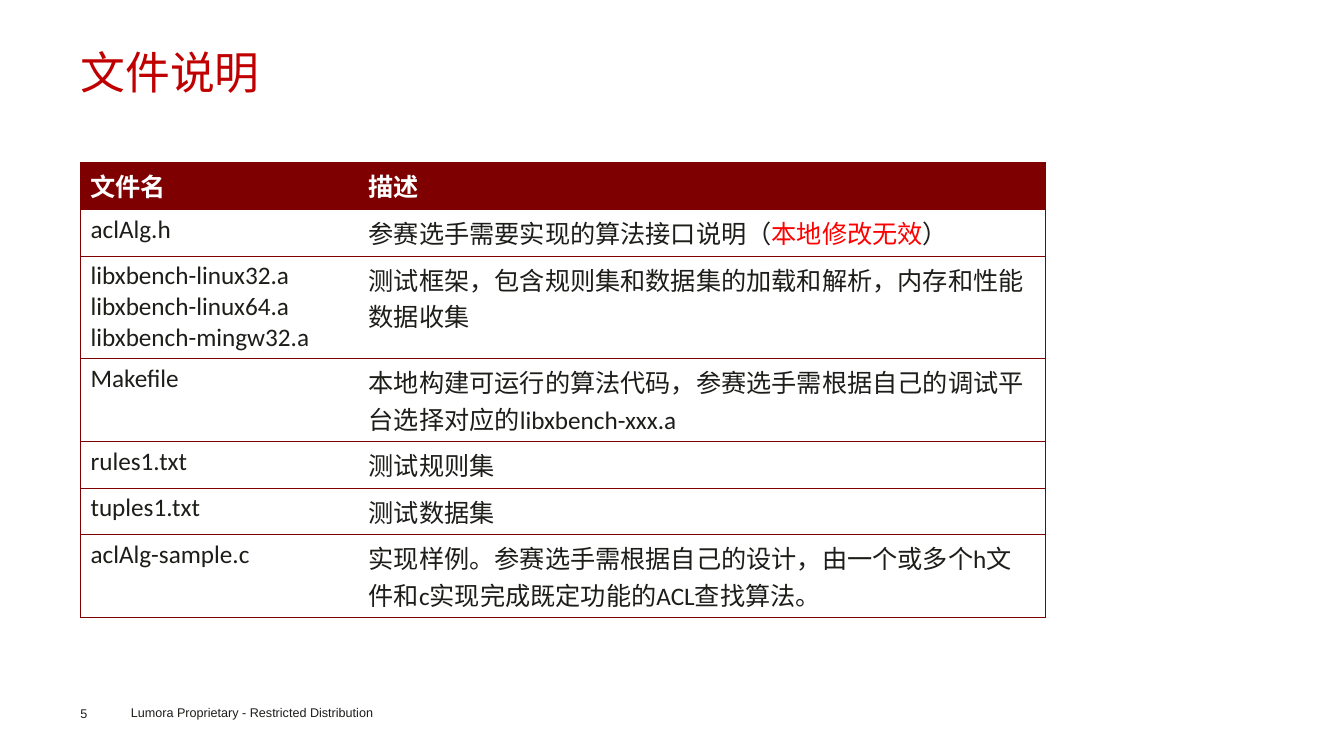
import lxml.etree
import pptx
import pptx.dml.color
import pptx.enum.text
import pptx.oxml.ns
import pptx.util
from pptx.util import Cm, Pt

RGBColor = pptx.dml.color.RGBColor
DARK_RED = RGBColor(0x7F, 0x00, 0x00)
TITLE_RED = RGBColor(0xC0, 0x00, 0x00)
WARNING_RED = RGBColor(0xFF, 0x00, 0x00)
WHITE = RGBColor(0xFF, 0xFF, 0xFF)
INK = RGBColor(0x1D, 0x1D, 0x1A)
CHINESE_FONT = "Noto Sans CJK SC"

COLUMN_WIDTHS = (7.01, 17.3)
ROW_HEIGHT = 1.04
HEADER = ("文件名", "描述")
# Each cell is a list of paragraphs; each paragraph is a list of (text, colour) runs.
FILES = [
    (["aclAlg.h"], [("参赛选手需要实现的算法接口说明（", INK),
                    ("本地修改无效", WARNING_RED), ("）", INK)]),
    (["libxbench-linux32.a", "libxbench-linux64.a", "libxbench-mingw32.a"],
     [("测试框架，包含规则集和数据集的加载和解析，内存和性能数据收集", INK)]),
    (["Makefile"],
     [("本地构建可运行的算法代码，参赛选手需根据自己的调试平台选择对应的libxbench-xxx.a", INK)]),
    (["rules1.txt"], [("测试规则集", INK)]),
    (["tuples1.txt"], [("测试数据集", INK)]),
    (["aclAlg-sample.c"],
     [("实现样例。参赛选手需根据自己的设计，由一个或多个h文件和c实现完成既定功能的ACL查找算法。", INK)]),
]


def add_run(paragraph, text, size, color, font_name, bold=False):
    run = paragraph.add_run()
    run.text = text
    run.font.size = Pt(size)
    run.font.name = font_name
    run.font.bold = bold
    run.font.color.rgb = color
    east_asian = lxml.etree.SubElement(run.font._element, pptx.oxml.ns.qn("a:ea"))
    east_asian.set("typeface", CHINESE_FONT)


def clear_margins(text_frame):
    text_frame.margin_left = text_frame.margin_right = 0
    text_frame.margin_top = text_frame.margin_bottom = 0


def add_title(slide, left, top, width, height):
    title = slide.shapes.title
    title.left, title.top, title.width, title.height = left, top, width, height
    text_frame = title.text_frame
    clear_margins(text_frame)
    text_frame.vertical_anchor = pptx.enum.text.MSO_ANCHOR.TOP
    text_frame.auto_size = pptx.enum.text.MSO_AUTO_SIZE.NONE
    paragraph = text_frame.paragraphs[0]
    paragraph.alignment = pptx.enum.text.PP_ALIGN.LEFT
    paragraph.line_spacing = Pt(34.3)
    add_run(paragraph, "文件说明", 32, TITLE_RED, CHINESE_FONT)


def set_borders(cell, visible_sides):
    """Draw thin dark red lines on the given sides and hide the others."""
    properties = cell._tc.get_or_add_tcPr()
    for position, side in enumerate("LRTB"):
        line = lxml.etree.Element(pptx.oxml.ns.qn(f"a:ln{side}"), w=str(Pt(0.5)))
        if side in visible_sides:
            fill = lxml.etree.SubElement(line, pptx.oxml.ns.qn("a:solidFill"))
            lxml.etree.SubElement(fill, pptx.oxml.ns.qn("a:srgbClr"), val=str(DARK_RED))
        else:
            lxml.etree.SubElement(line, pptx.oxml.ns.qn("a:noFill"))
        properties.insert(position, line)


def fill_cell(cell, paragraphs, bold=False):
    text_frame = cell.text_frame
    for index, runs in enumerate(paragraphs):
        paragraph = text_frame.paragraphs[0] if index == 0 else text_frame.add_paragraph()
        for text, color in runs:
            add_run(paragraph, text, 18, color, "Calibri", bold)


def add_file_table(slide, left, top):
    row_count = len(FILES) + 1
    table = slide.shapes.add_table(
        row_count, len(COLUMN_WIDTHS), left, top,
        Cm(sum(COLUMN_WIDTHS)), Cm(ROW_HEIGHT * row_count)).table
    table.horz_banding = False
    for column, width in zip(table.columns, COLUMN_WIDTHS):
        column.width = Cm(width)
    for row in table.rows:
        row.height = Cm(ROW_HEIGHT)
        for cell, outer_side in zip(row.cells, "LR"):
            cell.fill.background()
            set_borders(cell, outer_side + "TB")
    for cell, heading in zip(table.rows[0].cells, HEADER):
        cell.fill.solid()
        cell.fill.fore_color.rgb = DARK_RED
        fill_cell(cell, [[(heading, WHITE)]], bold=True)
    for row_index, (names, description) in enumerate(FILES, start=1):
        fill_cell(table.cell(row_index, 0), [[(name, INK)] for name in names])
        fill_cell(table.cell(row_index, 1), [description])


def add_footer(slide, left, top, width, height):
    number_width = Cm(1.4)
    number = slide.shapes.add_textbox(left, top + Cm(0.13), number_width, Cm(0.38))
    clear_margins(number.text_frame)
    notice_left = left + Cm(1.02)
    notice = slide.shapes.add_textbox(notice_left, top, width - Cm(1.02), height)
    for box, text in ((number, "5"),
                      (notice, "Lumora Proprietary - Restricted Distribution")):
        box.text_frame.word_wrap = True
        add_run(box.text_frame.paragraphs[0], text, 9, INK, "Arial")


def main():
    presentation = pptx.Presentation()
    presentation.slide_width = Cm(33.88)
    presentation.slide_height = Cm(19.05)
    slide = presentation.slides.add_slide(presentation.slide_layouts.get_by_name("Title Only"))
    left = Cm(2.03)
    add_title(slide, left, Cm(1.27), Cm(29.85), Cm(2.77))
    add_file_table(slide, left, Cm(4.1))
    add_footer(slide, left, Cm(17.65), Cm(10.75), Cm(0.64))
    presentation.save("out.pptx")


if __name__ == "__main__":
    main()
